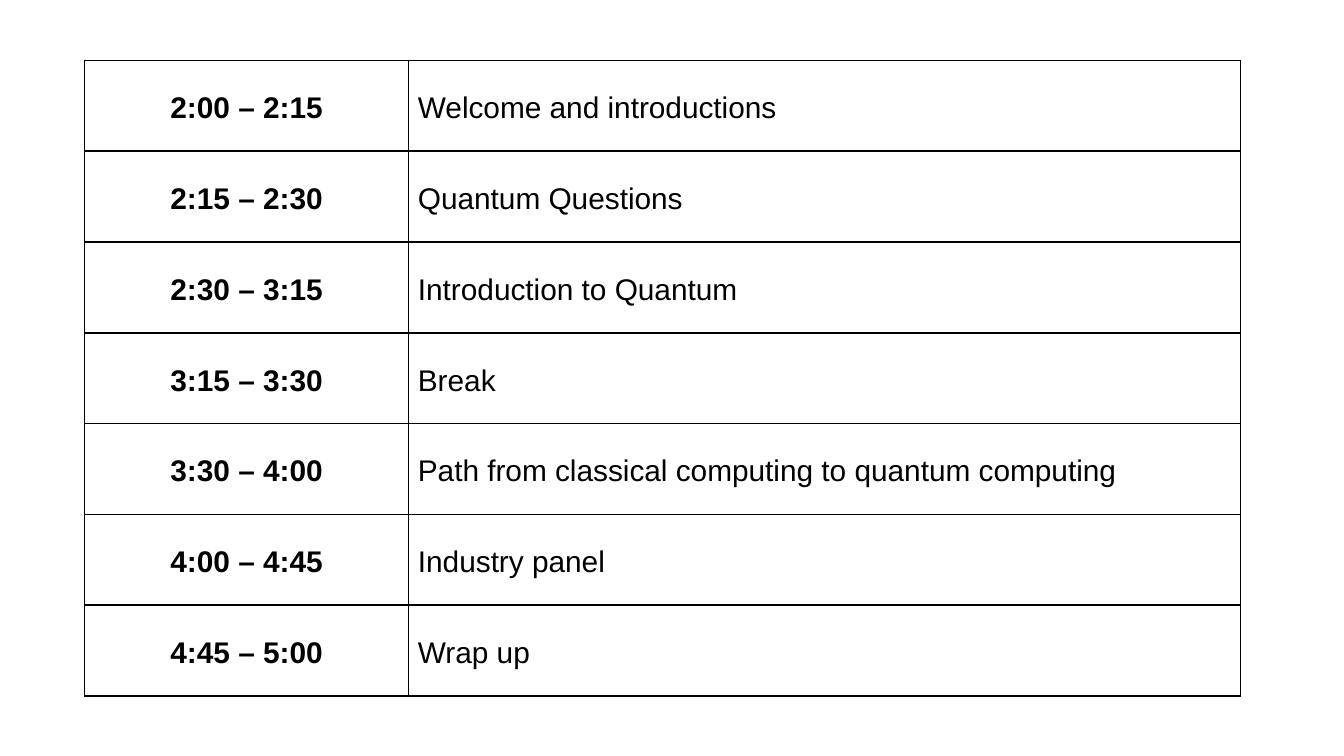
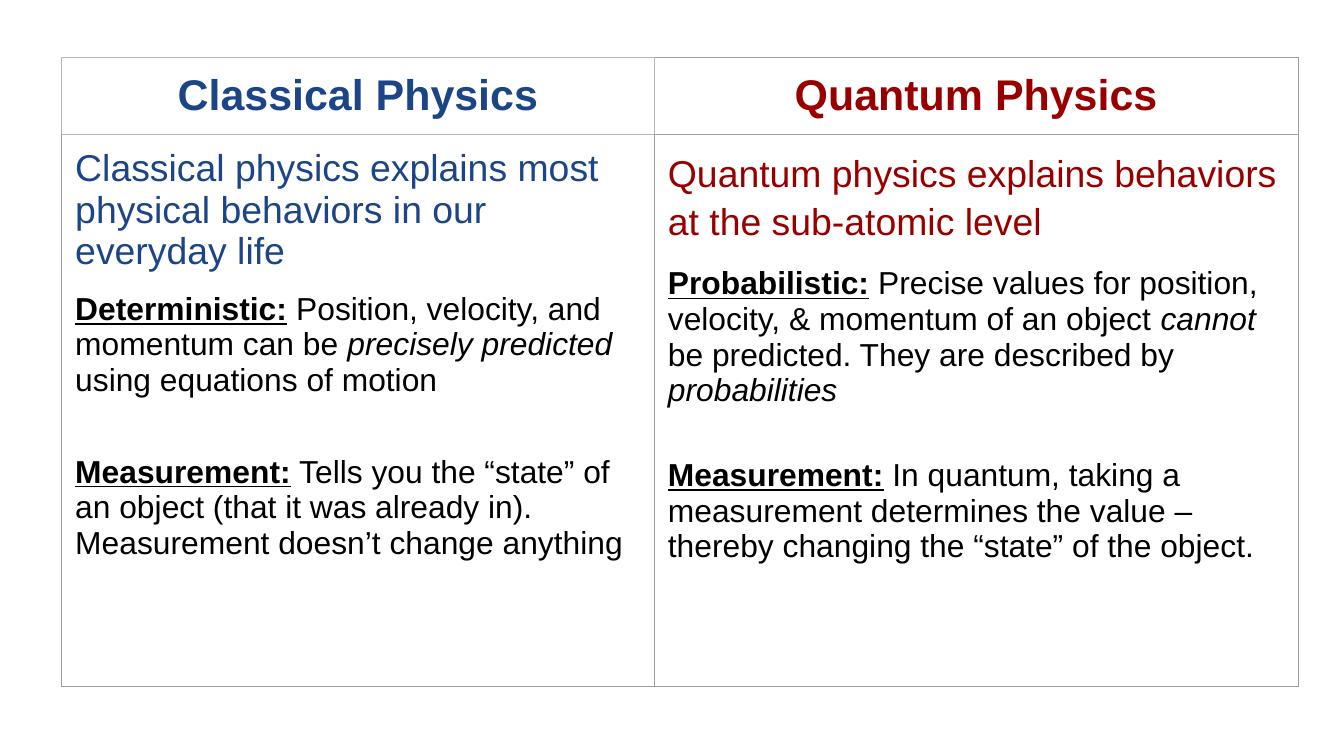
from lxml import etree
from pptx import Presentation
from pptx.dml.color import RGBColor
from pptx.enum.text import MSO_ANCHOR, PP_ALIGN
from pptx.oxml.ns import qn
from pptx.util import Inches, Pt

# Shared look
SLIDE_WIDTH = 10
SLIDE_HEIGHT = SLIDE_WIDTH * 9 / 16
FONT = "Arial"
BLACK = RGBColor(0x00, 0x00, 0x00)
BLUE = RGBColor(0x1C, 0x45, 0x87)
RED = RGBColor(0x98, 0x00, 0x00)
LIGHT_GRAY = RGBColor(0xB7, 0xB7, 0xB7)
GRAY = RGBColor(0x9E, 0x9E, 0x9E)
PADDING = 0.1

AGENDA = [
    ("2:00 – 2:15", "Welcome and introductions"),
    ("2:15 – 2:30", "Quantum Questions"),
    ("2:30 – 3:15", "Introduction to Quantum"),
    ("3:15 – 3:30", "Break"),
    ("3:30 – 4:00", "Path from classical computing to quantum computing"),
    ("4:00 – 4:45", "Industry panel"),
    ("4:45 – 5:00", "Wrap up"),
]

# Per column: heading, colour, summary, summary line spacing,
# then (space before, runs) per point; a run is (text, style letters)
COMPARISON = [
    ("Classical Physics", BLUE,
     "Classical physics explains most physical behaviors in our everyday life", None,
     [(10, [("Deterministic:", "bu"),
            (" Position, velocity, and momentum can be ", ""),
            ("precisely predicted", "i"),
            (" using equations of motion", "")]),
      (30, [("Measurement:", "bu"),
            (" Tells you the “state” of an object (that it was already in). "
             "Measurement doesn’t change anything", "")])]),
    ("Quantum Physics", RED,
     "Quantum physics explains behaviors at the sub-atomic level", 1.15,
     [(12, [("Probabilistic:", "bu"),
            (" Precise values for position, velocity, & momentum of an object ", ""),
            ("cannot", "i"),
            (" be predicted. They are described by ", ""),
            ("probabilities", "i")]),
      (26.5, [("Measurement:", "bu"),
              (" In quantum, taking a measurement determines the value – "
               "thereby changing the “state” of the object.", "")])]),
]


def add_plain_table(s, left, top, col_widths, row_heights):
    """Add a table without banding, sized by its columns and rows."""
    frame = s.shapes.add_table(len(row_heights), len(col_widths),
                               Inches(left), Inches(top),
                               Inches(sum(col_widths)), Inches(sum(row_heights)))
    table = frame.table
    table.first_row = table.horz_banding = False
    for column, width in zip(table.columns, col_widths):
        column.width = Inches(width)
    for row, height in zip(table.rows, row_heights):
        row.height = Inches(height)
    return table


def format_cell(cell, colors, width, side=PADDING, anchor=MSO_ANCHOR.TOP):
    """Set padding, anchor, clear fill and borders (left, right, top, bottom)."""
    cell.margin_left = cell.margin_right = Inches(side)
    cell.margin_top = cell.margin_bottom = Inches(PADDING)
    cell.vertical_anchor = anchor
    props = cell._tc.get_or_add_tcPr()
    for edge, color in zip("LRTB", colors):
        ln = etree.SubElement(props, qn(f"a:ln{edge}"), w=str(Pt(width)))
        fill = etree.SubElement(ln, qn("a:solidFill"))
        etree.SubElement(fill, qn("a:srgbClr"), val=str(color))
    cell.fill.background()


def write_paragraph(p, runs, size, color=BLACK, align=PP_ALIGN.LEFT,
                    spacing=None, before=0):
    """Fill a paragraph; style letters: b bold, i italic, u underline."""
    p.alignment = align
    p.space_before = Pt(before)
    if spacing:
        p.line_spacing = spacing
    for text, style in runs:
        r = p.add_run()
        r.text = text
        font = r.font
        font.name, font.size = FONT, Pt(size)
        font.color.rgb = color
        font.bold = "b" in style
        font.italic = "i" in style
        font.underline = "u" in style


def add_agenda(s):
    table = add_plain_table(s, 0.63, 0.45, [2.41, 6.19],
                            [4.73 / len(AGENDA)] * len(AGENDA))
    columns = [("b", PP_ALIGN.CENTER), ("", PP_ALIGN.LEFT)]
    for row, entry in enumerate(AGENDA):
        for col, (style, align) in enumerate(columns):
            cell = table.cell(row, col)
            format_cell(cell, [BLACK] * 4, 0.96, 0.07, MSO_ANCHOR.MIDDLE)
            write_paragraph(cell.text_frame.paragraphs[0], [(entry[col], style)],
                            16, align=align, spacing=1.15)


def add_comparison(s):
    table = add_plain_table(s, 0.46, 0.43, [4.41, 4.79], [0.57, 4.11])
    for col, (title, color, summary, spacing, points) in enumerate(COMPARISON):
        head, body = table.cell(0, col), table.cell(1, col)

        # The first heading has lighter borders, shared with its neighbours
        first = col == 0
        format_cell(head, [LIGHT_GRAY] * 4 if first
                    else [LIGHT_GRAY, GRAY, GRAY, GRAY], 0.75)
        format_cell(body, [GRAY, GRAY, LIGHT_GRAY if first else GRAY, GRAY], 0.75)

        write_paragraph(head.text_frame.paragraphs[0], [(title, "b")], 23, color,
                        PP_ALIGN.CENTER)
        tf = body.text_frame
        write_paragraph(tf.paragraphs[0], [(summary, "")], 20, color, spacing=spacing)
        for before, runs in points:
            write_paragraph(tf.add_paragraph(), runs, 17, before=before)


def main():
    prs = Presentation()
    prs.slide_width, prs.slide_height = Inches(SLIDE_WIDTH), Inches(SLIDE_HEIGHT)
    blank = prs.slide_layouts[6]
    for build in (add_agenda, add_comparison):
        build(prs.slides.add_slide(blank))
    prs.save("out.pptx")


if __name__ == "__main__":
    main()
